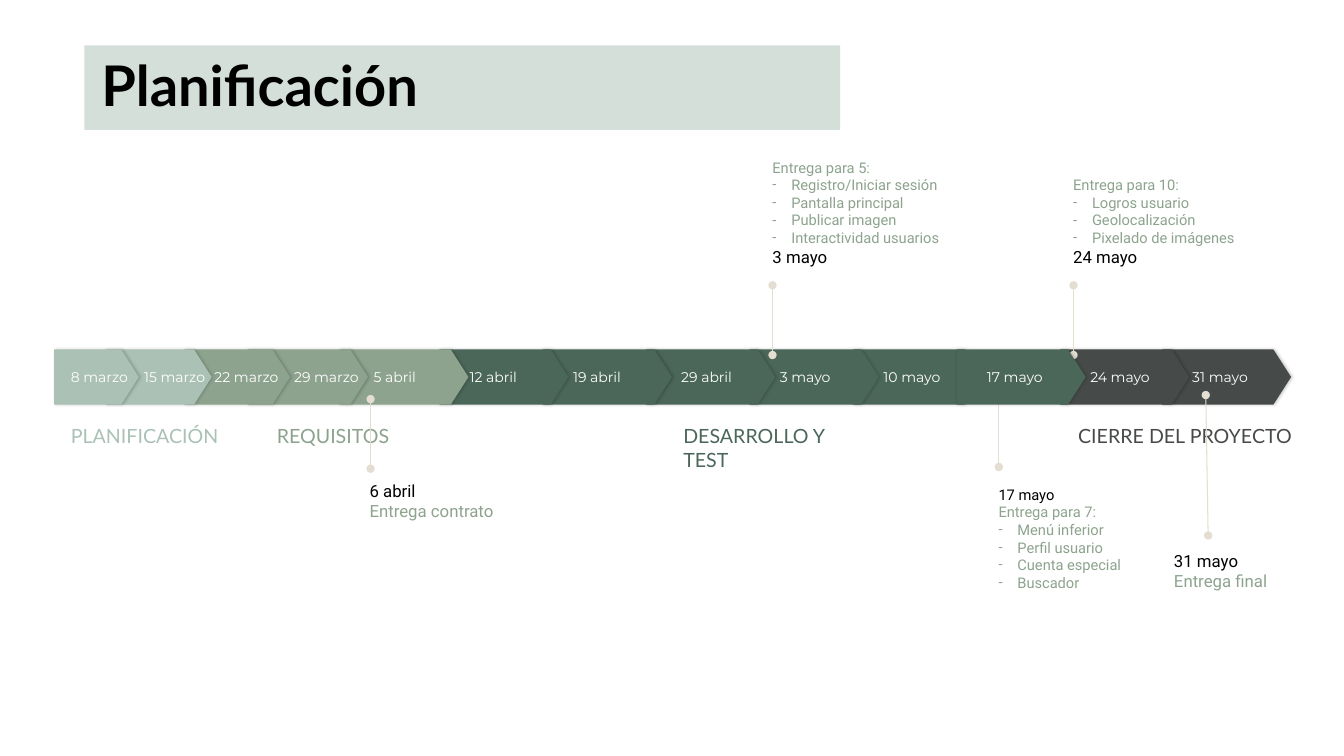
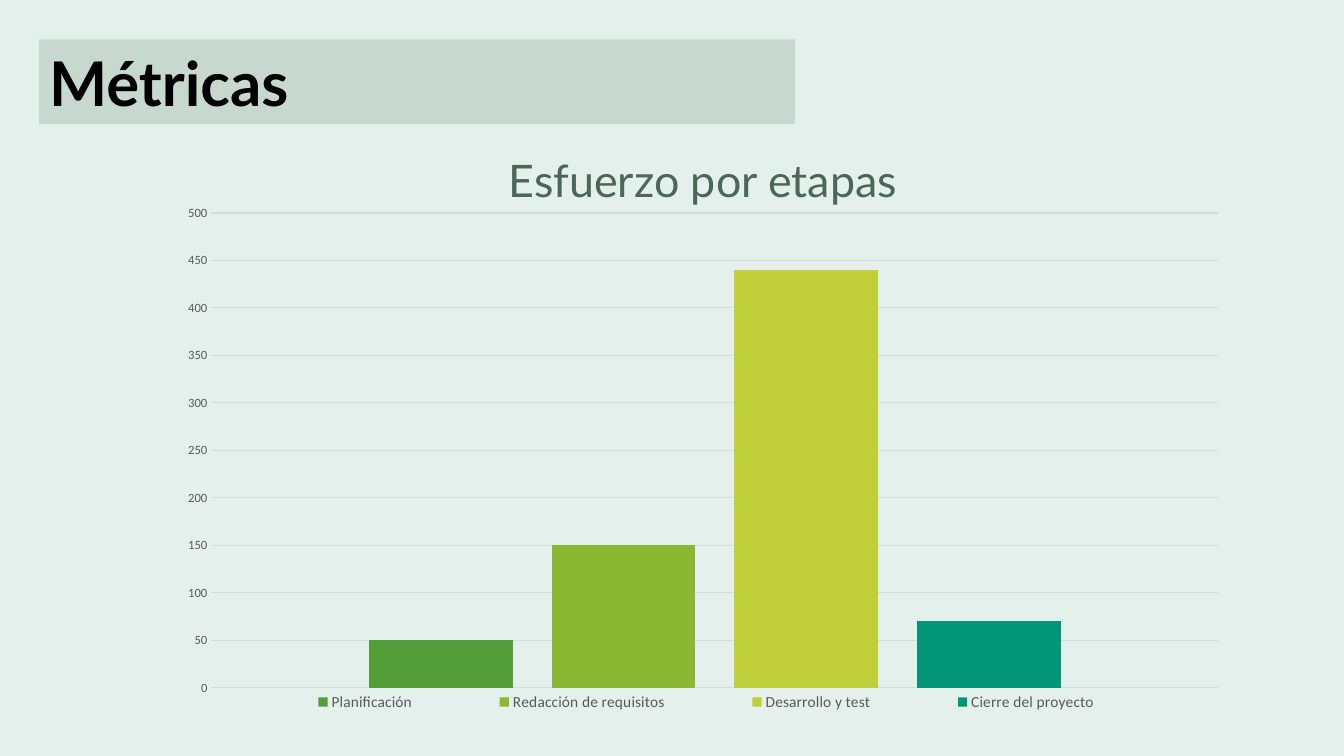
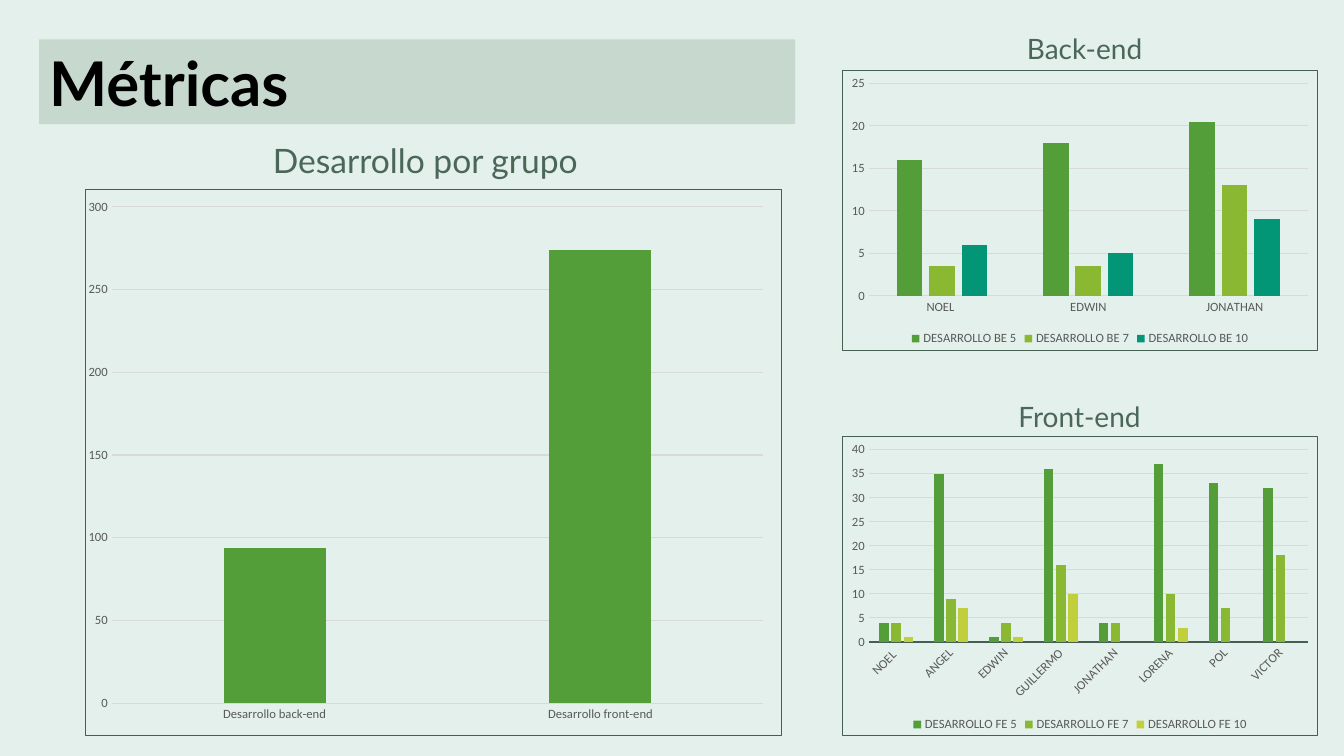
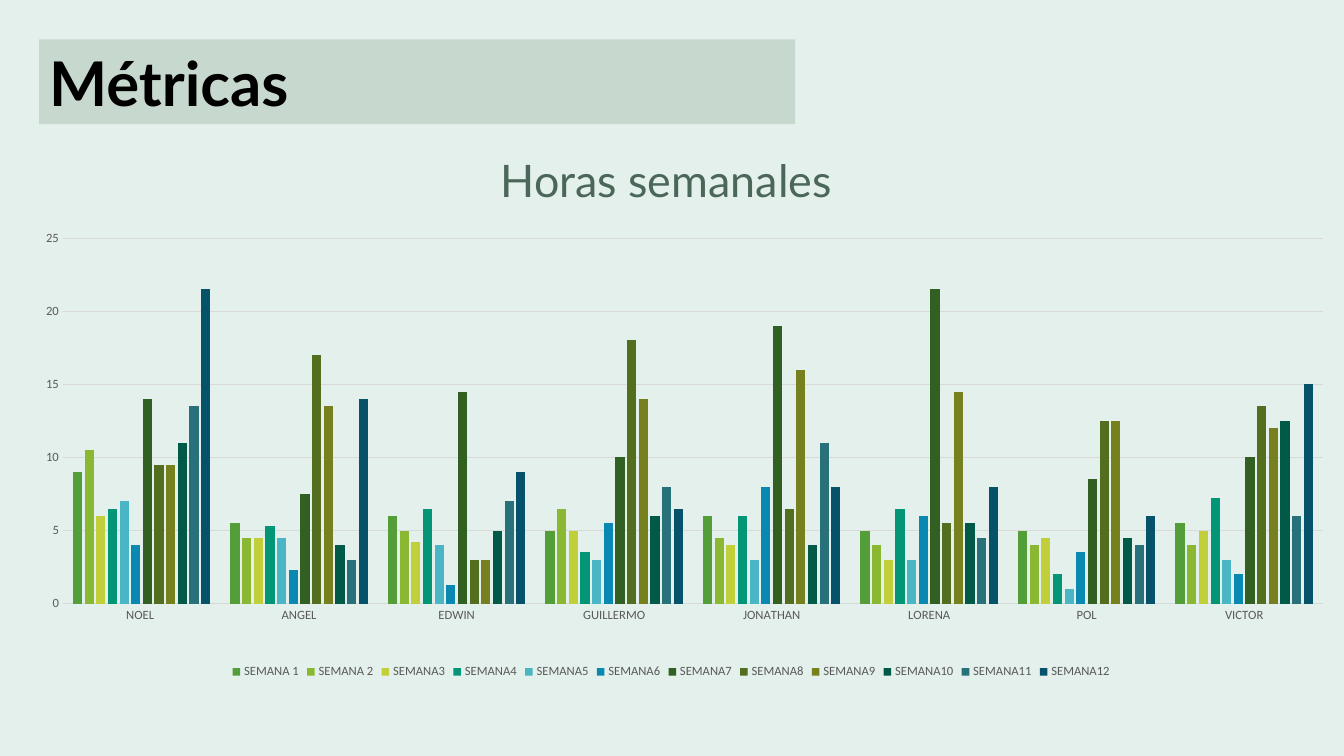
"""Build a project deck: a planning timeline and three slides of effort metrics."""
from dataclasses import dataclass
from typing import Any, Optional

from lxml import etree
from pptx import Presentation
from pptx import util as u
from pptx.chart import data
from pptx.dml import color
from pptx.enum import chart as ch
from pptx.enum import shapes, text
from pptx.oxml import ns

WHITE, BLACK, BEIGE = "FFFFFF", "000000", "E3DED1"
MINT, BACKGROUND = "ABC1B5", "E4F0EB"
SAGE, FOREST, CHARCOAL = "8DA38E", "4B6759", "464A49"
GREY, GRID, FRAME = "595959", "D9D9D9", "455F51"
GREEN, LIME, YELLOW, TEAL = "549E39", "8AB833", "C0CF3A", "029676"
SERIES_COLOURS = [GREEN, LIME, YELLOW, TEAL, "4AB5C4", "0989B1",
                  "325F22", "536E1F", "76801F", "015A47", "28707A", "05526A"]
HEAD, LABEL, BODY, CHART = "Lato", "Montserrat", "Roboto", "Calibri"
PLATE_TOP, PLATE_HEIGHT, PLATE_WIDTH = 249.5, 39.6, 92.2
DEVELOPMENT_LEFT, WEEK_STEP = 313.8, 73.9
TITLE_ONLY = 5
Box = tuple[float, float, float, float]


@dataclass
class Plate:
    left: float
    width: float
    fill: str
    label: str = ""
    inset: float = 21.6


@dataclass
class Caption:
    box: Box
    label: str
    size: float
    font: str
    colour: str
    centred: bool = False


@dataclass
class Line:
    label: str
    size: float
    colour: str
    bullet: bool = False


@dataclass
class Callout:
    box: Box
    lines: list[Line]


@dataclass
class Series:
    name: str
    values: list[Optional[float]]
    colour: str


@dataclass
class Chart:
    box: Box
    categories: list[str]
    series: list[Series]
    top: float
    step: float
    legend_size: float = 0
    framed: bool = False
    show_categories: bool = True
    base_line: str = GRID
    plot: Optional[Box] = None
    legend: Optional[Box] = None


def rgb(value: str) -> color.RGBColor:
    return color.RGBColor.from_string(value)


def pts(box: Box) -> list[u.Length]:
    return [u.Pt(v) for v in box]


def sub(parent: Any, tag: str, **attributes: Any) -> Any:
    return etree.SubElement(parent, ns.qn(tag), {k: str(v) for k, v in attributes.items()})


def style(font: Any, size: float, name: str, colour: str, bold: bool = False) -> None:
    font.size, font.name, font.bold = u.Pt(size), name, bold
    font.color.rgb = rgb(colour)


def set_insets(tf: Any, left: float = 0) -> None:
    tf.margin_left = u.Pt(left)
    tf.margin_top = tf.margin_right = tf.margin_bottom = 0


def add_block(slide: Any, kind: Any, box: Box, fill: str) -> Any:
    sp = slide.shapes.add_shape(kind, *pts(box))
    sp.shadow.inherit = False
    sp.fill.solid()
    sp.fill.fore_color.rgb = rgb(fill)
    sp.line.fill.background()
    return sp


def add_title(slide: Any, label: str, band: Box, box: Box, size: float) -> None:
    sp = add_block(slide, shapes.MSO_SHAPE.RECTANGLE, band, MINT)
    sub(next(sp._element.spPr.iter(ns.qn("a:srgbClr"))), "a:alpha", val=50000)
    title = slide.shapes.title
    sp._element.addnext(title._element)
    title.left, title.top, title.width, title.height = pts(box)
    tf = title.text_frame
    tf.text = label
    tf.word_wrap, tf.auto_size = True, text.MSO_AUTO_SIZE.NONE
    tf.vertical_anchor = text.MSO_ANCHOR.TOP
    p = tf.paragraphs[0]
    p.alignment = text.PP_ALIGN.LEFT
    style(p.runs[0].font, size, HEAD, BLACK, True)


def add_plate(slide: Any, plate: Plate) -> None:
    box = (plate.left, PLATE_TOP, plate.width, PLATE_HEIGHT)
    sp = add_block(slide, shapes.MSO_SHAPE.PENTAGON, box, plate.fill)
    sp.adjustments[0] = 0.32
    effects = sp._element.spPr.find(ns.qn("a:effectLst"))
    shadow = sub(effects, "a:outerShdw", blurRad=u.Pt(2.2), dist=u.Pt(0.8), dir=0, rotWithShape=0)
    sub(sub(shadow, "a:srgbClr", val=BLACK), "a:alpha", val=20000)
    if plate.label:
        tf = sp.text_frame
        tf.text = plate.label
        tf.word_wrap, tf.vertical_anchor = True, text.MSO_ANCHOR.MIDDLE
        set_insets(tf, plate.inset)
        p = tf.paragraphs[0]
        p.alignment = text.PP_ALIGN.LEFT
        style(p.runs[0].font, 10, LABEL, WHITE)


def add_caption(slide: Any, caption: Caption) -> None:
    tf = slide.shapes.add_textbox(*pts(caption.box)).text_frame
    tf.word_wrap = True
    tf.text = caption.label
    p = tf.paragraphs[0]
    p.alignment = text.PP_ALIGN.CENTER if caption.centred else text.PP_ALIGN.LEFT
    style(p.runs[0].font, caption.size, caption.font, caption.colour)


def add_callout(slide: Any, callout: Callout) -> None:
    tf = slide.shapes.add_textbox(*pts(callout.box)).text_frame
    tf.word_wrap, tf.vertical_anchor = True, text.MSO_ANCHOR.BOTTOM
    set_insets(tf)
    for i, line in enumerate(callout.lines):
        p = tf.add_paragraph() if i else tf.paragraphs[0]
        p.text = line.label
        if line.bullet:
            pr = p._p.get_or_add_pPr()
            pr.set("marL", str(u.Pt(13.5)))
            pr.set("indent", str(-u.Pt(13.5)))
            sub(pr, "a:buFont", typeface=BODY)
            sub(pr, "a:buChar", char="-")
        style(p.runs[0].font, line.size, BODY, line.colour)


def add_pin(slide: Any, ends: Box) -> None:
    pin = slide.shapes.add_connector(shapes.MSO_CONNECTOR.STRAIGHT, *pts(ends))
    pin.line.width = u.Pt(0.75)
    pin.line.color.rgb = rgb(BEIGE)
    ln = pin.line._get_or_add_ln()
    for end in ("a:headEnd", "a:tailEnd"):
        sub(ln, end, type="oval")
    sub(pin._element.spPr, "a:effectLst")


def set_chart_frame(chart: Any, framed: bool) -> None:
    area = etree.Element(ns.qn("c:spPr"))
    sub(area, "a:noFill")
    ln = sub(area, "a:ln", w=u.Pt(0.75))
    if framed:
        sub(sub(ln, "a:solidFill"), "a:srgbClr", val=FRAME)
    else:
        sub(ln, "a:noFill")
    chart._chartSpace.find(ns.qn("c:chart")).addnext(area)


def set_layout(chart: Any, tag: str, box: Box) -> None:
    area = next(chart._chartSpace.iter(ns.qn(tag)))
    for old in area.findall(ns.qn("c:layout")):
        area.remove(old)
    layout = etree.Element(ns.qn("c:layout"))
    manual = sub(layout, "c:manualLayout")
    if tag == "c:plotArea":
        sub(manual, "c:layoutTarget", val="inner")
        area.insert(0, layout)
    else:
        area.find(ns.qn("c:legendPos")).addnext(layout)
    for mode in ("c:xMode", "c:yMode"):
        sub(manual, mode, val="edge")
    for side, value in zip("xywh", box):
        sub(manual, f"c:{side}", val=value)


def format_axes(chart: Any, item: Chart) -> None:
    cat, val = chart.category_axis, chart.value_axis
    for axis in (cat, val):
        axis.major_tick_mark = axis.minor_tick_mark = ch.XL_TICK_MARK.NONE
        style(axis.tick_labels.font, 9, CHART, GREY)
    cat.visible = item.show_categories
    cat.format.line.width = u.Pt(0.75)
    cat.format.line.color.rgb = rgb(item.base_line)
    cat._element.txPr.bodyPr.set("rot", "-60000000")
    val.format.line.fill.background()
    val.minimum_scale, val.maximum_scale, val.major_unit = 0, item.top, item.step
    grid = val.major_gridlines.format.line
    grid.width = u.Pt(0.75)
    grid.color.rgb = rgb(GRID)


def add_chart(slide: Any, item: Chart) -> None:
    source = data.CategoryChartData()
    source.categories = item.categories
    for s in item.series:
        source.add_series(s.name, s.values)
    kind = ch.XL_CHART_TYPE.COLUMN_CLUSTERED
    chart = slide.shapes.add_chart(kind, *pts(item.box), source).chart
    style(chart.font, 10, CHART, BLACK)
    chart.has_title = False
    chart.has_legend = bool(item.legend_size)
    if chart.has_legend:
        chart.legend.position = ch.XL_LEGEND_POSITION.BOTTOM
        chart.legend.include_in_layout = False
        style(chart.legend.font, item.legend_size, CHART, GREY)
    format_axes(chart, item)
    plot = chart.plots[0]
    plot.gap_width, plot.overlap, plot.vary_by_categories = 219, -27, False
    for s, drawn in zip(item.series, plot.series):
        drawn.invert_if_negative = False
        drawn.format.fill.solid()
        drawn.format.fill.fore_color.rgb = rgb(s.colour)
    set_chart_frame(chart, item.framed)
    if item.plot:
        set_layout(chart, "c:plotArea", item.plot)
    if item.legend:
        set_layout(chart, "c:legend", item.legend)


def add_slide(prs: Any, background: str) -> Any:
    slide = prs.slides.add_slide(prs.slide_layouts[TITLE_ONLY])
    slide.background.fill.solid()
    slide.background.fill.fore_color.rgb = rgb(background)
    return slide


def delivery(goal: str, items: list[str]) -> list[Line]:
    return [Line(goal, 10.5, SAGE)] + [Line(item, 10.5, SAGE, True) for item in items]


def week_plate(week: int, fill: str, label: str) -> Plate:
    return Plate(round(DEVELOPMENT_LEFT + WEEK_STEP * week, 2), PLATE_WIDTH, fill, label)


def date_label(left: float, label: str) -> Caption:
    return Caption((left, 259.4, 65.5, 19.4), label, 10, LABEL, WHITE)


def phase(left: float, width: float, label: str, colour: str) -> Caption:
    return Caption((left, 299.4, width, 24.5), label, 14, HEAD, colour)


def subtitle(box: Box, label: str, size: float) -> Caption:
    return Caption(box, label, size, HEAD, FOREST, True)


DEVELOPMENT = ["12 abril", "19 abril", "", "3 mayo", "10 mayo"]
PLATES = [
    Plate(38.7, 60.5, MINT),
    Plate(75.6, 75.6, MINT),
    Plate(131.6, 75.6, SAGE, "22 marzo"),
    Plate(177.1, 85.7, SAGE),
    Plate(242.4, PLATE_WIDTH, SAGE, "5 abril", 24.5),
    *[week_plate(i, FOREST, label) for i, label in enumerate(DEVELOPMENT)],
    week_plate(6, CHARCOAL, "24 mayo"),
    Plate(830, PLATE_WIDTH, CHARCOAL, "31 mayo"),
]
LAST_SPRINT = week_plate(5, FOREST, "17 mayo")
CAPTIONS = [
    date_label(43.5, "8 marzo"),
    date_label(95.8, "15 marzo"),
    date_label(203, "29 marzo"),
    date_label(479.5, "29 abril"),
    phase(43.5, 133.2, "PLANIFICACIÓN", MINT),
    phase(190.6, 121, "REQUISITOS", SAGE),
    phase(481, 146.9, "DESARROLLO Y TEST", FOREST),
    phase(763, 170, "CIERRE DEL PROYECTO", CHARCOAL),
]
PINS = [
    (264.7, 334.8, 264.7, 285.1),
    (551.8, 253.6, 551.8, 203.8),
    (713.5, 333.6, 713.5, 283.9),
    (766.8, 253.6, 766.8, 203.8),
    (863, 382.5, 861.3, 282.2),
]
CALLOUTS = [
    Callout((264, 345.6, 139.7, 26.6),
            [Line("6 abril", 12, BLACK), Line("Entrega contrato", 12, SAGE)]),
    Callout((551.8, 106.3, 139.7, 84.2),
            delivery("Entrega para 5:", ["Registro/Iniciar sesión", "Pantalla principal",
                                         "Publicar imagen", "Interactividad usuarios"])
            + [Line("3 mayo", 12, BLACK)]),
    Callout((713.3, 343.2, 103, 79.2),
            [Line("17 mayo", 10.5, BLACK)]
            + delivery("Entrega para 7:", ["Menú inferior", "Perfil usuario",
                                           "Cuenta especial", "Buscador"])),
    Callout((766.6, 106.3, 139.7, 84.2),
            delivery("Entrega para 10:", ["Logros usuario", "Geolocalización",
                                          "Pixelado de imágenes"])
            + [Line("24 mayo", 12, BLACK)]),
    Callout((838.6, 395.3, 74.9, 26.6),
            [Line("31 mayo", 12, BLACK), Line("Entrega final", 12, SAGE)]),
]

TEAM = ["NOEL ", "ANGEL", "EDWIN", "GUILLERMO", "JONATHAN", "LORENA", "POL", "VICTOR"]
WEEK_NAMES = ["SEMANA 1", "SEMANA 2"] + [f"SEMANA{n}" for n in range(3, 13)]
WEEK_HOURS = [
    [9, 5.5, 6, 5, 6, 5, 5, 5.5],
    [10.5, 4.5, 5, 6.5, 4.5, 4, 4, 4],
    [6, 4.5, 4.2, 5, 4, 3, 4.5, 5],
    [6.5, 5.3, 6.5, 3.5, 6, 6.5, 2, 7.2],
    [7, 4.5, 4, 3, 3, 3, 1, 3],
    [4, 2.3, 1.3, 5.5, 8, 6, 3.5, 2],
    [14, 7.5, 14.5, 10, 19, 21.5, 8.5, 10],
    [9.5, 17, 3, 18, 6.5, 5.5, 12.5, 13.5],
    [9.5, 13.5, 3, 14, 16, 14.5, 12.5, 12],
    [11, 4, 5, 6, 4, 5.5, 4.5, 12.5],
    [13.5, 3, 7, 8, 11, 4.5, 4, 6],
    [21.5, 14, 9, 6.5, 8, 8, 6, 15],
]
EFFORT = Chart(
    (118.8, 139.7, 766.1, 389.5), ["1"],
    [Series("Planificación", [50], GREEN), Series("Redacción de requisitos", [150], LIME),
     Series("Desarrollo y test", [440], YELLOW), Series("Cierre del proyecto", [70], TEAL)],
    500, 50, legend_size=11, show_categories=False,
    plot=(0.042, 0.032, 0.939, 0.871), legend=(0.065, 0.904, 0.877, 0.05))
GROUPS = Chart(
    (60.5, 135, 498, 391), ["Desarrollo back-end", "Desarrollo front-end"],
    [Series("Series 1", [94, 274], GREEN)],
    300, 50, framed=True, plot=(0.038, 0.032, 0.936, 0.908))
FRONT_END = Chart(
    (601.4, 311.4, 340, 214.6), TEAM,
    [Series("DESARROLLO FE 5", [4, 35, 1, 36, 4, 37, 33, 32], GREEN),
     Series("DESARROLLO FE 7", [4, 9, 4, 16, 4, 10, 7, 18], LIME),
     Series("DESARROLLO FE 10", [1, 7, 1, 10, None, 3, None, None], YELLOW)],
    40, 5, legend_size=9, framed=True, base_line=FRAME)
BACK_END = Chart(
    (601.4, 50, 340, 200.4), ["NOEL ", "EDWIN", "JONATHAN"],
    [Series("DESARROLLO BE 5", [16, 18, 20.5], GREEN),
     Series("DESARROLLO BE 7", [3.5, 3.5, 13], LIME),
     Series("DESARROLLO BE 10", [6, 5, 9], TEAL)],
    25, 5, legend_size=9, framed=True)
WEEKLY = Chart(
    (-23.5, 122.2, 1005.8, 365.8), TEAM,
    [Series(*week) for week in zip(WEEK_NAMES, WEEK_HOURS, SERIES_COLOURS)],
    25, 5, legend_size=9, plot=(0.068, 0.131, 0.895, 0.714))
METRICS = [
    ([EFFORT], [subtitle((348.5, 105.8, 307.4, 46), "Esfuerzo por etapas", 32)]),
    ([GROUPS, FRONT_END, BACK_END],
     [subtitle((146.9, 96.5, 313.9, 36), "Desarrollo por grupo", 24),
      subtitle((617.8, 18.7, 313.9, 31.7), "Back-end", 20),
      subtitle((614.2, 281.5, 313.9, 31.7), "Front-end", 20)]),
    ([WEEKLY], [subtitle((331.2, 105.8, 289.4, 46), "Horas semanales", 32)]),
]


def build_timeline(prs: Any) -> None:
    slide = add_slide(prs, WHITE)
    add_title(slide, "Planificación", (60.2, 32.4, 540, 60.5), (65.2, 32.4, 473.8, 55.4), 40)
    for plate in reversed(PLATES):
        add_plate(slide, plate)
    for caption in CAPTIONS:
        add_caption(slide, caption)
    for callout in CALLOUTS:
        add_callout(slide, callout)
    for pin in PINS:
        add_pin(slide, pin)
    add_plate(slide, LAST_SPRINT)


def build_metrics(prs: Any, charts: list[Chart], captions: list[Caption]) -> None:
    slide = add_slide(prs, BACKGROUND)
    add_title(slide, "Métricas", (28, 28.2, 540, 60.5), (27.8, 28.2, 473.8, 60.5), 44)
    for item in charts:
        add_chart(slide, item)
    for caption in captions:
        add_caption(slide, caption)


def main() -> None:
    prs = Presentation()
    prs.slide_width, prs.slide_height = u.Pt(960), u.Pt(540)
    build_timeline(prs)
    for charts, captions in METRICS:
        build_metrics(prs, charts, captions)
    prs.save("out.pptx")


if __name__ == "__main__":
    main()
